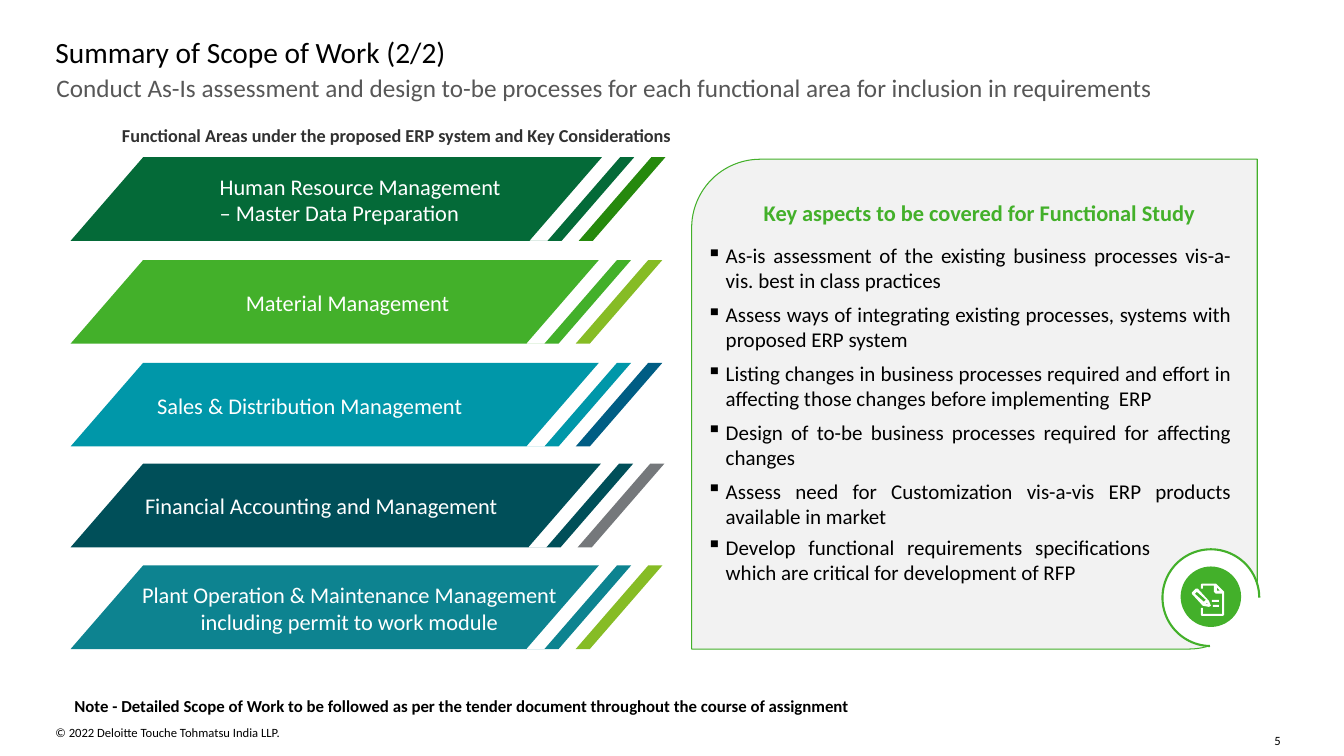
from lxml import etree
from pptx import Presentation
from pptx.dml.color import RGBColor
from pptx.enum.shapes import MSO_SHAPE
from pptx.enum.text import MSO_ANCHOR, PP_ALIGN
from pptx.oxml.ns import qn
from pptx.util import Pt

PX = 9144  # EMU per px, 100 px to the inch
FONT = "Calibri"
LEFT, MID, JUST = PP_ALIGN.LEFT, PP_ALIGN.CENTER, PP_ALIGN.JUSTIFY
TOP, CENTRE = MSO_ANCHOR.TOP, MSO_ANCHOR.MIDDLE
RECT, OVAL, ARC = MSO_SHAPE.RECTANGLE, MSO_SHAPE.OVAL, MSO_SHAPE.ARC
ROUND = MSO_SHAPE.ROUND_2_DIAG_RECTANGLE

HEX = {
    "white": "FFFFFF", "black": "000000", "grey": "575757", "ink": "313131",
    "panel": "F2F2F2", "green": "43B02A", "lime": "86BC25", "forest": "046A38",
    "leaf": "26890D", "aqua": "0097A9", "blue": "005D84", "deep": "004F59",
    "steel": "75787B", "teal": "0D8390",
}

TITLE = "Summary of Scope of Work (2/2)"
LEAD = ("Conduct As-Is assessment and design to-be processes for each "
        "functional area for inclusion in requirements")
HEAD = "Functional Areas under the proposed ERP system and Key Considerations"
NOTE = ("Note - Detailed Scope of Work to be followed as per the tender "
        "document throughout the course of assignment")
RIGHTS = "© 2022 Deloitte Touche Tohmatsu India LLP."
PAGE = "5"

# text, alignment, text left and width, top, body right edge, body and accent colours
AREAS = [
    ("Human Resource Management – Master Data Preparation",
     LEFT, 208, 311, 156, 597, "forest", "leaf"),
    ("Material Management", LEFT, 234, 311, 258, 594, "green", "lime"),
    ("Sales & Distribution Management",
     LEFT, 146, 393, 360, 594, "aqua", "blue"),
    ("Financial Accounting and Management",
     LEFT, 134, 417, 460, 596, "deep", "steel"),
    ("Plant Operation & Maintenance Management including permit to work module",
     MID, 126, 441, 561, 594, "teal", "lime"),
]

STUDY = "Key aspects to be covered for Functional Study"
ASPECTS = [
    "As-is assessment of the existing business processes vis-a-vis. best in class practices",
    "Assess ways of integrating existing processes, systems with proposed ERP system",
    "Listing changes in business processes required and effort in affecting "
    "those changes before implementing  ERP",
    "Design of to-be business processes required for affecting changes",
    "Assess need for Customization vis-a-vis ERP products available in market",
]
LAST = ["Develop functional requirements specifications which are critical "
        "for development of RFP"]

# Contours of the page and pencil symbol; inner ones cut holes
GLYPH = [
    [(1214, 587), (1206, 579), (1192, 579), (1191, 580), (1191, 584),
     (1193, 584), (1193, 581), (1204, 581), (1204, 587), (1206, 589),
     (1212, 589), (1212, 609), (1193, 609), (1193, 603), (1191, 603),
     (1191, 610), (1192, 611), (1213, 611), (1214, 610)],
    [(1207, 583), (1210, 586), (1207, 586)],
    [(1182, 589), (1193, 601), (1199, 602), (1201, 601), (1199, 596),
     (1188, 584), (1186, 584), (1182, 588)],
    [(1196, 595), (1187, 587), (1185, 589), (1194, 597)],
    [(1197, 598), (1196, 599), (1198, 599)],
    [(1202, 595), (1209, 595), (1209, 597), (1202, 597)],
    [(1203, 600), (1209, 600), (1209, 602), (1203, 602)],
]

SLANT, HIGH, EDGE = 72, 83, 70
GAP, STRIPE, REST = 18, 32, 49  # offsets from the body's right edge
BAR = 14

deck = Presentation()
deck.slide_width, deck.slide_height = 1333 * PX, 750 * PX
slide = deck.slides.add_slide(deck.slide_layouts[6])
shapes = slide.shapes


def tone(name):
    return RGBColor.from_string(HEX[name])


def paint(shape, fill=None, line=None, width=1):
    shape.shadow.inherit = False
    if fill:
        shape.fill.solid()
        shape.fill.fore_color.rgb = tone(fill)
    else:
        shape.fill.background()
    if line:
        shape.line.color.rgb = tone(line)
        shape.line.width = Pt(width)
    else:
        shape.line.fill.background()
    return shape


def preset(kind, box, **look):
    return paint(shapes.add_shape(kind, *(v * PX for v in box)), **look)


def outline(loops, fill):
    """Draw closed contours as one filled shape."""
    pen = shapes.build_freeform(*loops[0][0], scale=PX)
    for i, loop in enumerate(loops):
        if i:
            pen.move_to(*loop[0])
        pen.add_line_segments(loop[1:], close=True)
    return paint(pen.convert_to_shape(), fill=fill)


def bullet(para):
    props = para._p.get_or_add_pPr()
    props.set("marL", str(19 * PX))
    props.set("indent", str(-19 * PX))
    shade = etree.SubElement(props, qn("a:buClr"))
    etree.SubElement(shade, qn("a:srgbClr")).set("val", HEX["black"])
    etree.SubElement(props, qn("a:buChar")).set("char", "▪")


def write(shape, lines, size, color, bold=False, align=LEFT, anchor=TOP,
          pad=(0, 0, 0, 0), wrap=True, dots=False):
    frame = shape.text_frame
    frame.word_wrap = wrap
    frame.vertical_anchor = anchor
    (frame.margin_left, frame.margin_top,
     frame.margin_right, frame.margin_bottom) = (v * PX for v in pad)
    for i, line in enumerate(lines):
        para = frame.add_paragraph() if i else frame.paragraphs[0]
        para.alignment = align
        if dots:
            bullet(para)
            para.space_after = Pt(2)
            if i:
                para.space_before = Pt(4)
        run = para.add_run()
        run.text = line
        run.font.name = FONT
        run.font.size = Pt(size)
        run.font.bold = bold
        run.font.color.rgb = tone(color)


def label(box, lines, size, color, **style):
    write(shapes.add_textbox(*(v * PX for v in box)), lines, size, color, **style)


INSET = (10, 5, 10, 5)

label((55, 34, 1224, 37), [TITLE], 21, "black")
label((56, 72, 1224, 40), [LEAD], 18, "grey", align=JUST)
head = preset(RECT, (56, 123, 674, 22), fill="white")
write(head, [HEAD], 13, "ink", bold=True, align=MID)

for text, align, left, wide, top, right, body, accent in AREAS:
    low = top + HIGH
    outline([[
        (EDGE + SLANT, top), (right, top), (right - SLANT, low),
        (right + GAP - SLANT, low), (right + GAP, top), (right + STRIPE, top),
        (right + STRIPE - SLANT, low), (EDGE, low),
    ]], body)
    bar = right + REST
    outline([[(bar, top), (bar + BAR, top), (bar + BAR - SLANT, low),
              (bar - SLANT, low)]], accent)
    label((left, top + 3, wide, 78), [text], 16, "white",
          align=align, anchor=CENTRE, pad=INSET)

panel = preset(ROUND, (686, 158, 561, 486), fill="panel", line="green", width=0.75)
panel.adjustments[0], panel.adjustments[1] = 0.14, 0
write(panel, [STUDY], 16, "green", bold=True, align=MID, pad=(10, 20, 0, 10))
label((691, 236, 540, 296), ASPECTS, 15, "black", align=JUST, pad=INSET, dots=True)
label((691, 525, 460, 61), LAST, 15, "black", align=JUST, pad=INSET, dots=True)

badge = (1153, 545, 96, 96)
preset(OVAL, badge, fill="white")
ring = preset(ARC, badge, line="green", width=1.5)
ring.adjustments[0], ring.adjustments[1] = 54.7, 0
preset(OVAL, (1171, 562, 60, 60), fill="green")
outline(GLYPH, "white")

label((64, 685, 1184, 30), [NOTE], 12, "black", bold=True, pad=INSET)
label((55, 719, 586, 15), [RIGHTS], 9, "black")
label((1264, 727, 15, 15), [PAGE], 9, "black", wrap=False)

deck.save("out.pptx")
